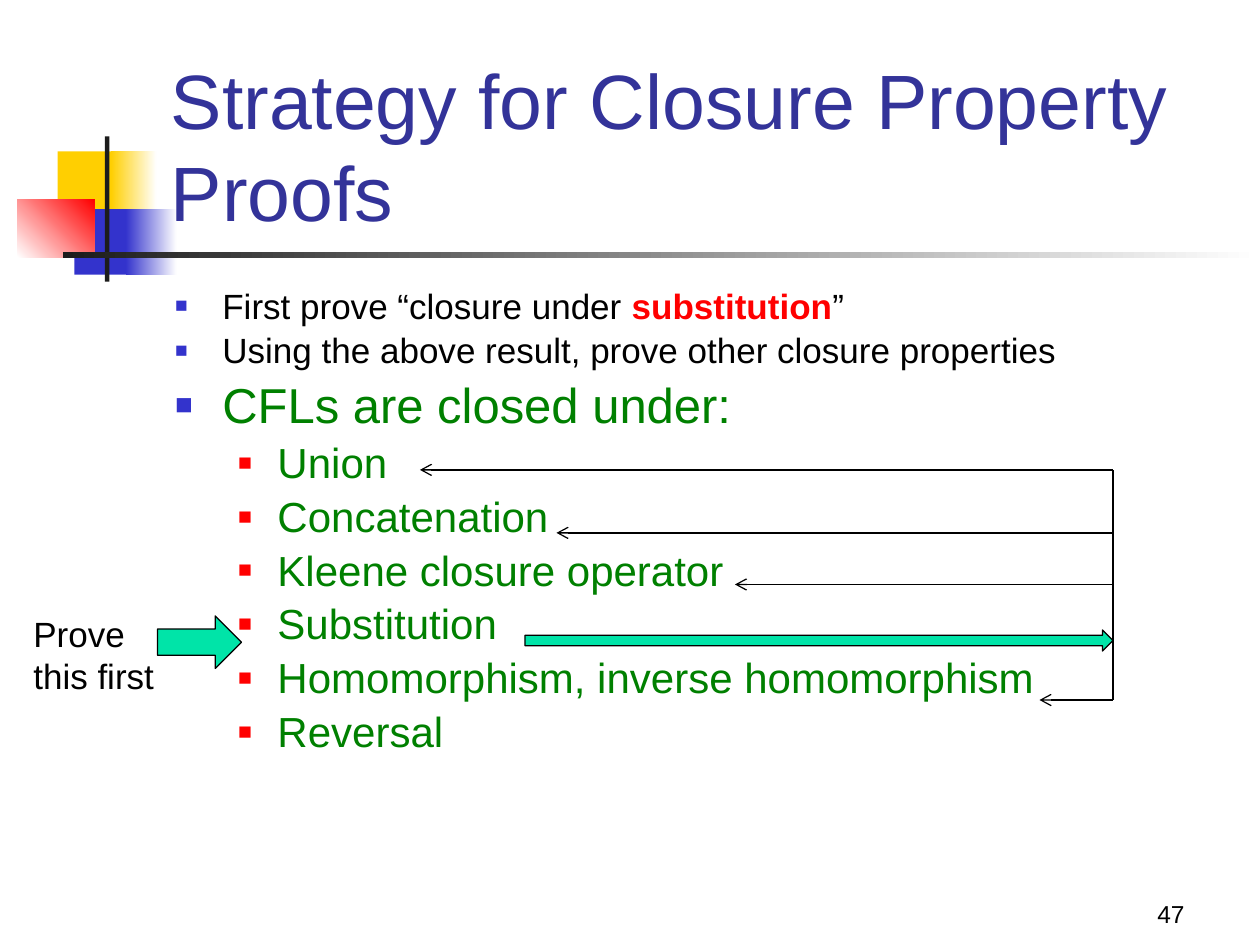
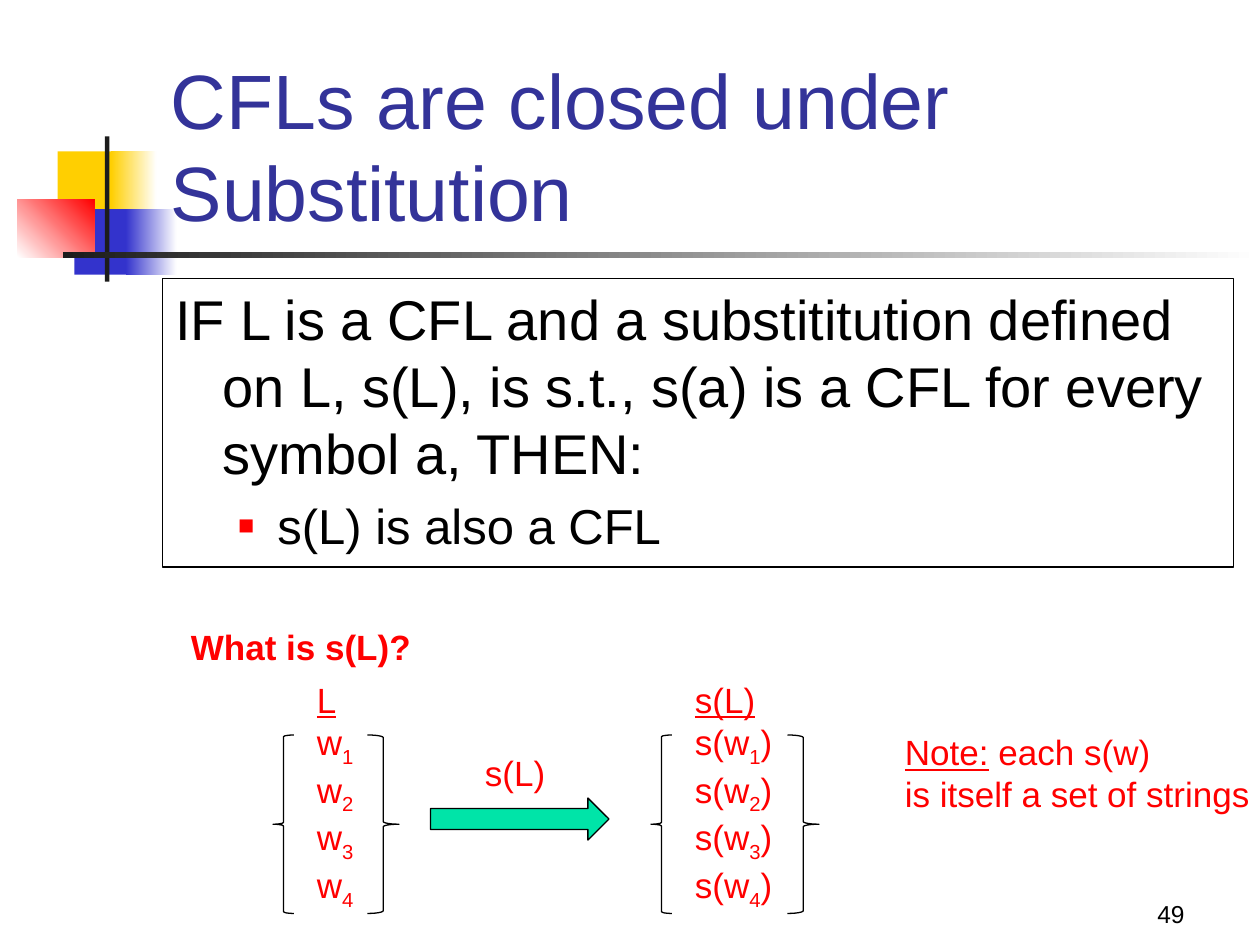
from lxml.etree import SubElement
from pptx import Presentation
from pptx.dml.color import RGBColor
from pptx.enum.shapes import MSO_CONNECTOR, MSO_SHAPE
from pptx.enum.text import MSO_ANCHOR, MSO_AUTO_SIZE, PP_ALIGN
from pptx.oxml.ns import qn
from pptx.util import Pt

FONT = "Arial"
COLORS = {
    "title": "333399", "text": "000000", "green": "008000", "red": "FF0000",
    "yellow": "FFCF01", "blue": "3333CC", "bar": "1C1C1C", "white": "FFFFFF",
    "arrow": "00E4A8",
}
# Level: left margin, indent, bullet colour, bullet size in thousandths of a percent
LEVELS = [(27, -27, "blue", 60000), (58.5, -22.5, "red", 55000)]


def rgb(name):
    return RGBColor.from_string(COLORS[name])


def add_block(page, kind, place, fill=None, fade=None, angle=0, line=None):
    """Add a preset shape; with fade, the fill runs from fill to fade."""
    block = page.shapes.add_shape(kind, *map(Pt, place))
    block.shadow.inherit = False
    if fade:
        block.fill.gradient()
        block.fill.gradient_angle = angle
        for stop, name in zip(block.fill.gradient_stops, (fill, fade)):
            stop.color.rgb = rgb(name)
    elif fill:
        block.fill.solid()
        block.fill.fore_color.rgb = rgb(fill)
    else:
        block.fill.background()
    if line:
        block.line.color.rgb = rgb(line)
        block.line.width = Pt(0.75)
    else:
        block.line.fill.background()
    return block


def add_arrow_block(page, *place):
    add_block(page, MSO_SHAPE.RIGHT_ARROW, place, "arrow", line="text")


def add_brace(page, kind, *place):
    brace = add_block(page, kind, place, line="text")
    brace.adjustments[0] = 0.083


def add_line(page, start, end, arrow=False):
    line = page.shapes.add_connector(MSO_CONNECTOR.STRAIGHT, *map(Pt, start + end))
    line.line.color.rgb = rgb("text")
    line.line.width = Pt(0.75)
    properties = line._element.spPr
    if arrow:
        SubElement(properties.find(qn("a:ln")), qn("a:tailEnd"), type="arrow")
    SubElement(properties, qn("a:effectLst"))


def add_box(page, place, wrap=True, anchor=MSO_ANCHOR.TOP):
    box = page.shapes.add_textbox(*map(Pt, place))
    box.text_frame.word_wrap = wrap
    box.text_frame.vertical_anchor = anchor
    if not wrap:
        box.text_frame.auto_size = MSO_AUTO_SIZE.SHAPE_TO_FIT_TEXT
    return box


def set_indent(para, level, bullet=True):
    margin, indent, color, size = LEVELS[level]
    properties = para._p.get_or_add_pPr()
    properties.set("marL", str(Pt(margin)))
    properties.set("indent", str(Pt(indent)))
    if not bullet:
        SubElement(properties, qn("a:buNone"))
        return
    fill = SubElement(properties, qn("a:buClr"))
    SubElement(fill, qn("a:srgbClr"), val=COLORS[color])
    SubElement(properties, qn("a:buSzPct"), val=str(size))
    SubElement(properties, qn("a:buFont"), typeface=FONT)
    SubElement(properties, qn("a:buChar"), char="■")


def write(para, spans, size, color="text"):
    """Fill a paragraph; a span is a text or (text, mark), and \\n breaks the line."""
    para.font.name = FONT
    para.font.size = Pt(size)
    para.font.color.rgb = rgb(color)
    for item in [spans] if isinstance(spans, str) else spans:
        text, mark = (item, None) if isinstance(item, str) else item
        for number, part in enumerate(text.split("\n")):
            if number:
                para.add_line_break()
            span = para.add_run()
            span.text = part
            if mark == "underline":
                span.font.underline = True
            elif mark == "sub":
                span._r.get_or_add_rPr().set("baseline", "-25000")
            elif mark in ("bold", "bold red"):
                span.font.bold = True
                if mark == "bold red":
                    span.font.color.rgb = rgb("red")


def add_label(page, place, *lines, color="red"):
    frame = add_box(page, place, wrap=False).text_frame
    for number, spans in enumerate(lines):
        para = frame.add_paragraph() if number else frame.paragraphs[0]
        write(para, spans, 20, color)


def add_body(page, height, items):
    """Items are (level, bullet, line spacing, size, colour, spans)."""
    box = add_box(page, (93, 159, 612, height))
    for number, (level, bullet, spacing, size, color, spans) in enumerate(items):
        frame = box.text_frame
        para = frame.add_paragraph() if number else frame.paragraphs[0]
        set_indent(para, level, bullet)
        para.line_spacing = spacing
        para.space_before = Pt(size * 0.2)
        write(para, spans, size, color)
    return box


def add_page(deck, title, number):
    page = deck.slides.add_slide(deck.slide_layouts[6])
    for place, fill, fade, angle in [
        ((33, 86.5, 34.5, 37.5), "yellow", None, 0),
        ((63.5, 86.5, 26, 37.5), "yellow", "white", 0),
        ((42.5, 119.5, 33, 37.5), "blue", None, 0),
        ((72, 119.5, 29, 37.5), "blue", "white", 0),
        ((10, 114, 44, 33), "white", "red", 45),
        ((60, 78, 2.5, 83), "bar", None, 0),
        ((36, 144, 684, 3.5), "bar", "white", 0),
    ]:
        add_block(page, MSO_SHAPE.RECTANGLE, place, fill, fade, angle)
    footer = add_box(page, (534, 498, 150, 36), anchor=MSO_ANCHOR.BOTTOM)
    para = footer.text_frame.paragraphs[0]
    para.alignment = PP_ALIGN.RIGHT
    write(para, str(number), 14)
    heading = add_box(page, (90.5, 49, 613.5, 90), anchor=MSO_ANCHOR.BOTTOM)
    write(heading.text_frame.paragraphs[0], title, 44, "title")
    return page


def add_strategy_page(deck):
    page = add_page(deck, "Strategy for Closure Property Proofs", 47)
    operations = ["Union", "Concatenation", "Kleene closure operator", "Substitution",
                  "Homomorphism, inverse homomorphism", "Reversal"]
    add_body(page, 324, [
        (0, True, 1.0, 20, "text",
         ["First prove “closure under ", ("substitution", "bold red"), "”"]),
        (0, True, 0.9, 20, "text",
         "Using the above result, prove other closure properties"),
        (0, True, 0.9, 28, "green", "CFLs are closed under:"),
    ] + [(1, True, 0.9, 24, "green", name) for name in operations])
    add_label(page, (12, 346.5, 96.5, 55.5), "Prove \nthis first", color="text")
    add_arrow_block(page, 90, 352, 48, 30)

    spine = 636
    tips = [(240, 268.5), (318, 304.5), (420, 334), (594, 400)]
    add_line(page, (spine, tips[-1][1]), (spine, tips[0][1]))
    for tip in tips:
        add_line(page, (spine, tip[1]), tip, arrow=True)
    add_arrow_block(page, 300, 360, spine - 300, 12)


def add_word_set(page, left, width, heading, before, after, right_brace):
    """Add a column of four words between braces."""
    words = [[before, (str(number), "sub"), after] if after
             else [before, (str(number), "sub")] for number in range(1, 5)]
    add_label(page, (left, 384, width, 145), [(heading, "underline")], *words)
    add_brace(page, MSO_SHAPE.LEFT_BRACE, left - 18, 420, 12, 102)
    add_brace(page, MSO_SHAPE.RIGHT_BRACE, right_brace, 420, 18, 102)


def add_substitution_page(deck):
    page = add_page(deck, "CFLs are closed under Substitution", 49)
    theorem = add_body(page, 165, [
        (0, False, 1.0, 32, "text",
         "IF L is a CFL and a substititution defined on L, s(L), is s.t., "
         "s(a) is a CFL for every symbol a, THEN:"),
        (1, True, 1.0, 28, "text", "s(L) is also a CFL"),
    ])
    theorem.line.color.rgb = rgb("text")
    theorem.line.width = Pt(0.75)

    add_word_set(page, 174, 36.5, "L", "w", "", 210)
    add_arrow_block(page, 246, 456, 102, 24)
    add_label(page, (270, 426, 49, 31.5), "s(L)")
    add_word_set(page, 390, 60, "s(L)", "s(w", ")", 450)
    add_label(page, (510, 414, 213, 55.5),
              [("Note:", "underline"), " each s(w) \nis itself a set of strings"])
    add_label(page, (102, 354, 141, 31.5), [("What is s(L)?", "bold")])


def main():
    deck = Presentation()
    deck.slide_width, deck.slide_height = Pt(720), Pt(540)
    add_strategy_page(deck)
    add_substitution_page(deck)
    deck.save("out.pptx")


if __name__ == "__main__":
    main()
